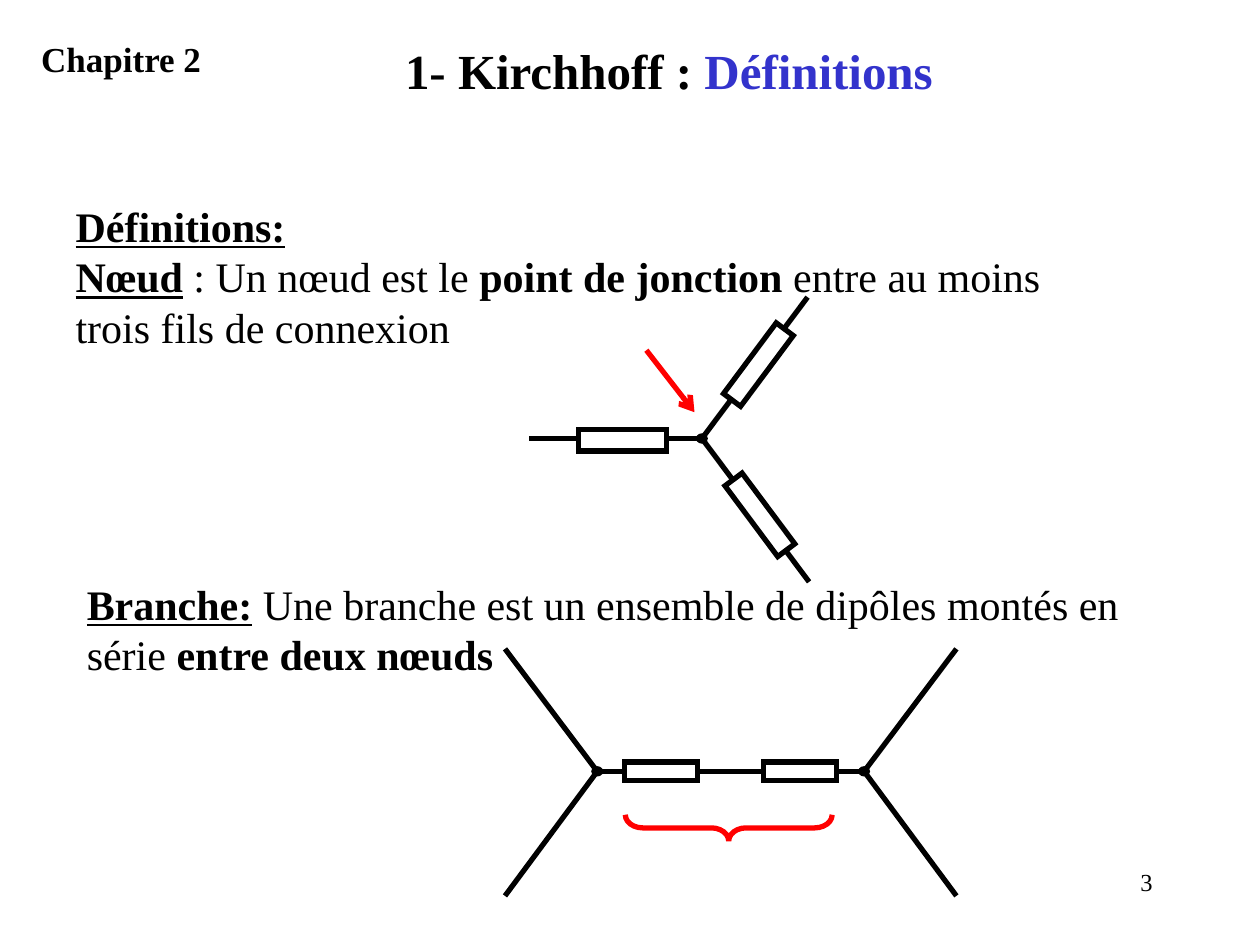
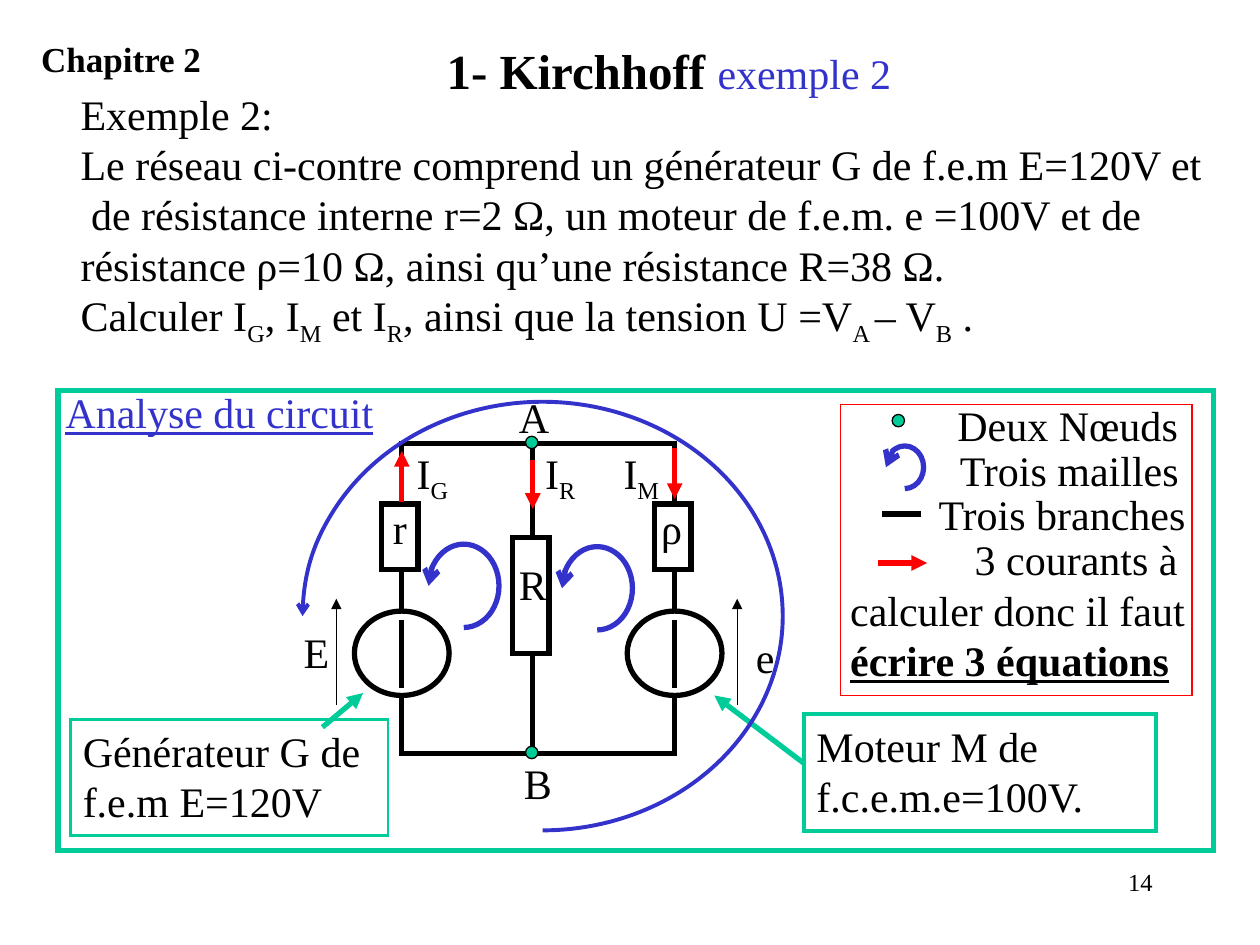
from dataclasses import dataclass
from typing import NamedTuple, Optional, Sequence

from lxml import etree
from pptx import Presentation
from pptx import util as u
from pptx.dml import color as dml
from pptx.enum import shapes, text
from pptx.oxml import ns

FONT = "Times New Roman"
BLACK, WHITE, RED, BLUE, GREEN = "000000", "FFFFFF", "FF0000", "3333CC", "00CC99"
TEXT_SIZE = 24
THICK, THIN = 3, 0.75
SHAPE = shapes.MSO_SHAPE


class Point(NamedTuple):
    x: float
    y: float


class Area(NamedTuple):
    """Left, top, width and height in centimetres."""
    left: float
    top: float
    width: float
    height: float


@dataclass(frozen=True)
class Span:
    """Words, with only what differs from their paragraph."""
    words: str
    bold: Optional[bool] = None
    underline: Optional[bool] = None
    color: Optional[str] = None
    size: Optional[float] = None
    subscript: bool = False


@dataclass(frozen=True)
class Para:
    spans: Sequence[Span]
    size: float = TEXT_SIZE
    bold: bool = False
    color: str = BLACK
    align: text.PP_ALIGN = text.PP_ALIGN.LEFT
    indent: float = 0
    tab: Optional[float] = None


@dataclass(frozen=True)
class Label:
    left: float
    top: float
    words: str
    subscript: str = ""


@dataclass(frozen=True)
class Wire:
    start: Point
    end: Point
    color: str = BLACK
    width: float = THICK
    arrow: str = ""


TITLE = Area(2.26, 0.69, 22.45, 1.45)
CHAPTER = Area(0.58, 0.64, 7.21, 1.09)
NUMBER = Area(18.21, 17.35, 5.28, 1.27)


def rgb(value: str) -> dml.RGBColor:
    return dml.RGBColor.from_string(value)


def around(center: Point, width: float, height: float) -> Area:
    return Area(center.x - width / 2, center.y - height / 2, width, height)


def plain(words: str, **settings) -> Para:
    return Para([Span(words)], **settings)


def with_subscripts(*words: str) -> list[Span]:
    """Alternate normal and subscript words."""
    return [Span(word, subscript=i % 2 == 1) for i, word in enumerate(words)]


def add_element(parent, tag: str, **attributes: str):
    return etree.SubElement(parent, ns.qn(tag), attributes)


def write(frame, paras: Sequence[Para], wrap: bool = True) -> None:
    frame.word_wrap = wrap
    frame.auto_size = text.MSO_AUTO_SIZE.NONE
    frame.vertical_anchor = text.MSO_ANCHOR.TOP
    for i, para in enumerate(paras):
        paragraph = frame.add_paragraph() if i else frame.paragraphs[0]
        properties = paragraph._p.get_or_add_pPr()
        properties.set("marL", "0")
        properties.set("indent", str(int(u.Cm(para.indent))))
        add_element(properties, "a:buNone")
        if para.tab:
            tabs = add_element(properties, "a:tabLst")
            add_element(tabs, "a:tab", pos=str(int(u.Cm(para.tab))), algn="l")
        paragraph.alignment = para.align
        paragraph.space_before = u.Pt(0)
        font = paragraph.font
        font.name, font.size, font.bold = FONT, u.Pt(para.size), para.bold
        font.color.rgb = rgb(para.color)
        for span in para.spans:
            run = paragraph.add_run()
            run.text = span.words
            if span.bold is not None:
                run.font.bold = span.bold
            if span.underline is not None:
                run.font.underline = span.underline
            if span.color:
                run.font.color.rgb = rgb(span.color)
            if span.size:
                run.font.size = u.Pt(span.size)
            if span.subscript:
                run._r.get_or_add_rPr().set("baseline", "-25000")


def add_text(page, area: Area, *paras: Para, wrap: bool = True) -> None:
    box = page.shapes.add_textbox(*map(u.Cm, area))
    write(box.text_frame, paras, wrap)


def add_labels(page, labels: Sequence[Label]) -> None:
    for label in labels:
        spans = with_subscripts(label.words, label.subscript)
        spans = [span for span in spans if span.words]
        add_text(page, Area(label.left, label.top, 1.3, 1.27), Para(spans), wrap=False)


def fill_placeholder(holder, area: Area, *paras: Para) -> None:
    holder.left, holder.top, holder.width, holder.height = map(u.Cm, area)
    write(holder.text_frame, paras)


def stroke(line, color: str, width: float, head: str = "", tail: str = "") -> None:
    line.color.rgb = rgb(color)
    line.width = u.Pt(width)
    element = line._get_or_add_ln()
    add_element(element, "a:miter", lim="800000")
    for tag, kind in (("a:headEnd", head), ("a:tailEnd", tail)):
        if kind:
            add_element(element, tag, type=kind)


def add_figure(page, kind, area: Area, color: str = BLACK, width: float = THICK,
               fill: Optional[str] = None, turn: float = 0, head: str = ""):
    figure = page.shapes.add_shape(kind, *map(u.Cm, area))
    figure.shadow.inherit = False
    figure.rotation = turn
    if fill:
        figure.fill.solid()
        figure.fill.fore_color.rgb = rgb(fill)
    else:
        figure.fill.background()
    stroke(figure.line, color, width, head)
    return figure


def add_wires(page, *wires: Wire) -> None:
    for wire in wires:
        ends = map(u.Cm, (*wire.start, *wire.end))
        connector = page.shapes.add_connector(shapes.MSO_CONNECTOR.STRAIGHT, *ends)
        stroke(connector.line, wire.color, wire.width, tail=wire.arrow)
        add_element(connector._element.spPr, "a:effectLst")


def add_resistor(page, center: Point, width: float, height: float, turn: float = 0) -> None:
    add_figure(page, SHAPE.RECTANGLE, around(center, width, height), fill=WHITE, turn=turn)


def add_junction(page, center: Point) -> None:
    add_figure(page, SHAPE.OVAL, around(center, 0.13, 0.1), fill=BLACK)


def add_node(page, center: Point) -> None:
    add_figure(page, SHAPE.OVAL, around(center, 0.25, 0.25), width=THIN, fill=GREEN)


def add_mesh_loop(page, area: Area, width: float = THICK) -> None:
    """Three quarters of an ellipse, from an arrowhead on the left to the bottom."""
    loop = add_figure(page, SHAPE.ARC, area, BLUE, width, head="arrow")
    for i, degrees in enumerate((180, 90)):
        loop.adjustments[i] = degrees * 0.6


def add_callout(page, area: Area, width: float, para: Para) -> None:
    write(add_figure(page, SHAPE.RECTANGLE, area, GREEN, width).text_frame, [para])


def add_page(deck, number: int, *title: Span):
    page = deck.slides.add_slide(deck.slide_layouts[1])
    fill_placeholder(page.shapes.title, TITLE,
                     Para(title, size=28, bold=True, align=text.PP_ALIGN.CENTER))
    add_text(page, CHAPTER, plain("Chapitre 2", size=20, bold=True))
    add_text(page, NUMBER, plain(str(number), size=14, align=text.PP_ALIGN.RIGHT))
    return page


def draw_node(page) -> None:
    node = Point(14.15, 8.84)
    for end in (Point(10.67, 8.84), Point(16.28, 5.99), Point(16.31, 11.73)):
        add_wires(page, Wire(node, end))
    for center, turn in ((Point(12.55, 8.88), 0), (Point(15.29, 7.35), 306.7),
                         (Point(15.32, 10.38), 53.3)):
        add_resistor(page, center, 1.78, 0.43, turn)
    add_wires(page, Wire(Point(13.03, 7.06), Point(14, 8.31), RED, arrow="arrow"))
    add_junction(page, node)


def draw_branch(page) -> None:
    axis, level = 14.73, 15.55
    add_wires(page, Wire(Point(axis - 2.69, level), Point(axis + 2.69, level)))
    for side in (-1, 1):
        node = Point(axis + side * 2.69, level)
        for end_y in (13.08, 18.06):
            add_wires(page, Wire(node, Point(axis + side * 4.55, end_y)))
        add_resistor(page, Point(axis + side * 1.4, level), 1.47, 0.38)
        add_junction(page, node)
    brace = add_figure(page, SHAPE.RIGHT_BRACE, around(Point(14.69, 16.69), 0.53, 4.17),
                       RED, turn=90)
    brace.adjustments[0] = 0.66


def build_definitions(deck) -> None:
    page = add_page(deck, 3, Span("1- Kirchhoff : "), Span("Définitions", color=BLUE))
    fill_placeholder(
        page.placeholders[1], Area(1.27, 3.91, 20.88, 3.3),
        Para([Span("Définitions:", underline=True)], bold=True),
        Para([Span("Nœud", bold=True, underline=True), Span(" : Un nœud est le "),
              Span("point de jonction", bold=True),
              Span(" entre au moins trois fils de connexion")]))
    add_text(page, Area(1.5, 11.53, 22.94, 2.29), Para([
        Span("Branche:", bold=True, underline=True),
        Span(" Une branche est un ensemble de dipôles montés en série "),
        Span("entre deux nœuds", bold=True)]))
    draw_branch(page)
    draw_node(page)


def draw_circuit(page) -> None:
    left, middle, right = 8.1, 10.74, 13.6
    top, bottom = 8.94, 15.19
    add_figure(page, SHAPE.RECTANGLE, Area(left, top, right - left, bottom - top))
    add_wires(page, Wire(Point(middle, top), Point(middle, bottom)))
    for column, y, height in ((left, 10.82, 1.32), (middle, 12.01, 2.34),
                              (right, 10.82, 1.32)):
        add_resistor(page, Point(column - 0.04, y), 0.74, height)
    for column, voltage_x in ((left, 6.78), (right, 14.86)):
        add_figure(page, SHAPE.OVAL, around(Point(column, 13.17), 1.91, 1.7), fill=WHITE)
        add_wires(page, Wire(Point(column, 12.5), Point(column, 13.87)),
                  Wire(Point(voltage_x, 14.22), Point(voltage_x, 12.07),
                       width=THIN, arrow="triangle"))
    for column, start, end in ((left, 10.11, 9.09), (middle, 9.27, 10.26),
                               (right, 9.04, 10.06)):
        add_wires(page, Wire(Point(column, start), Point(column, end), RED, arrow="triangle"))
    for rail in (top, bottom):
        add_node(page, Point(middle - 0.02, rail - 0.02))
    add_labels(page, [
        Label(5.87, 12.5, "E"), Label(14.99, 12.6, "e"), Label(7.67, 10.01, "r"),
        Label(10.21, 11.13, "R"), Label(13.08, 10.01, "ρ"), Label(10.21, 7.77, "A"),
        Label(10.31, 15.14, "B"), Label(8.15, 8.89, "I", "G"),
        Label(10.74, 8.89, "I", "R"), Label(12.32, 8.89, "I", "M")])


def draw_legend(page) -> None:
    add_figure(page, SHAPE.RECTANGLE, Area(16.94, 8.15, 7.09, 5.87), RED, THIN)
    add_node(page, Point(18.11, 8.48))
    add_mesh_loop(page, Area(17.86, 8.99, 0.76, 0.86))
    add_wires(page, Wire(Point(17.78, 10.36), Point(18.57, 10.36)),
              Wire(Point(17.7, 11.35), Point(18.69, 11.35), RED, arrow="triangle"))
    add_labels(page, [Label(19.05, 7.92, "Deux Nœuds"), Label(19.1, 8.84, "Trois mailles"),
                      Label(18.67, 9.73, "Trois branches")])
    add_text(page, Area(16.89, 10.64, 7.57, 3.3), Para([
        Span("3 courants à calculer donc il faut "),
        Span("écrire 3 équations", bold=True, underline=True)], indent=2.51))


def build_example(deck) -> None:
    page = add_page(deck, 14, Span("1- Kirchhoff "),
                    Span("exemple 2", bold=False, color=BLUE, size=TEXT_SIZE))
    fill_placeholder(
        page.placeholders[1], Area(1.37, 1.65, 23.6, 5.33),
        plain("Exemple 2:"),
        plain("Le réseau ci-contre comprend un générateur G de f.e.m E=120V et"),
        plain(" de résistance interne r=2 Ω, un moteur de f.e.m. e =100V et de"),
        plain("résistance ρ=10 Ω, ainsi qu’une résistance R=38 Ω."),
        Para(with_subscripts("Calculer I", "G", ", I", "M", " et I", "R",
                             ", ainsi que la tension U =V", "A ", "– V", "B", " .")))
    add_figure(page, SHAPE.RECTANGLE, Area(1.17, 7.87, 23.29, 9.27), GREEN)
    draw_circuit(page)
    add_callout(page, Area(16.21, 14.4, 7.09, 2.36), 2.25,
                plain("Moteur M de f.c.e.m.\te=100V.", tab=3.15))
    add_callout(page, Area(1.42, 14.5, 6.4, 2.34), 1.5,
                plain("Générateur G de f.e.m E=120V"))
    add_wires(page, Wire(Point(16.21, 15.39), Point(14.4, 14.02), GREEN, arrow="triangle"),
              Wire(Point(6.5, 14.66), Point(7.32, 13.97), GREEN, arrow="triangle"))
    add_text(page, Area(1.07, 7.67, 6.93, 1.27),
             Para([Span("Analyse du circuit", underline=True)], color=BLUE))
    for area in (Area(8.64, 10.97, 1.42, 1.68), Area(11.33, 11.02, 1.42, 1.68)):
        add_mesh_loop(page, area)
    add_mesh_loop(page, Area(6.1, 8.1, 9.68, 8.64), 2.25)
    draw_legend(page)


def main() -> None:
    deck = Presentation()
    deck.slide_width, deck.slide_height = u.Cm(25.4), u.Cm(19.05)
    build_definitions(deck)
    build_example(deck)
    deck.save("out.pptx")


if __name__ == "__main__":
    main()
